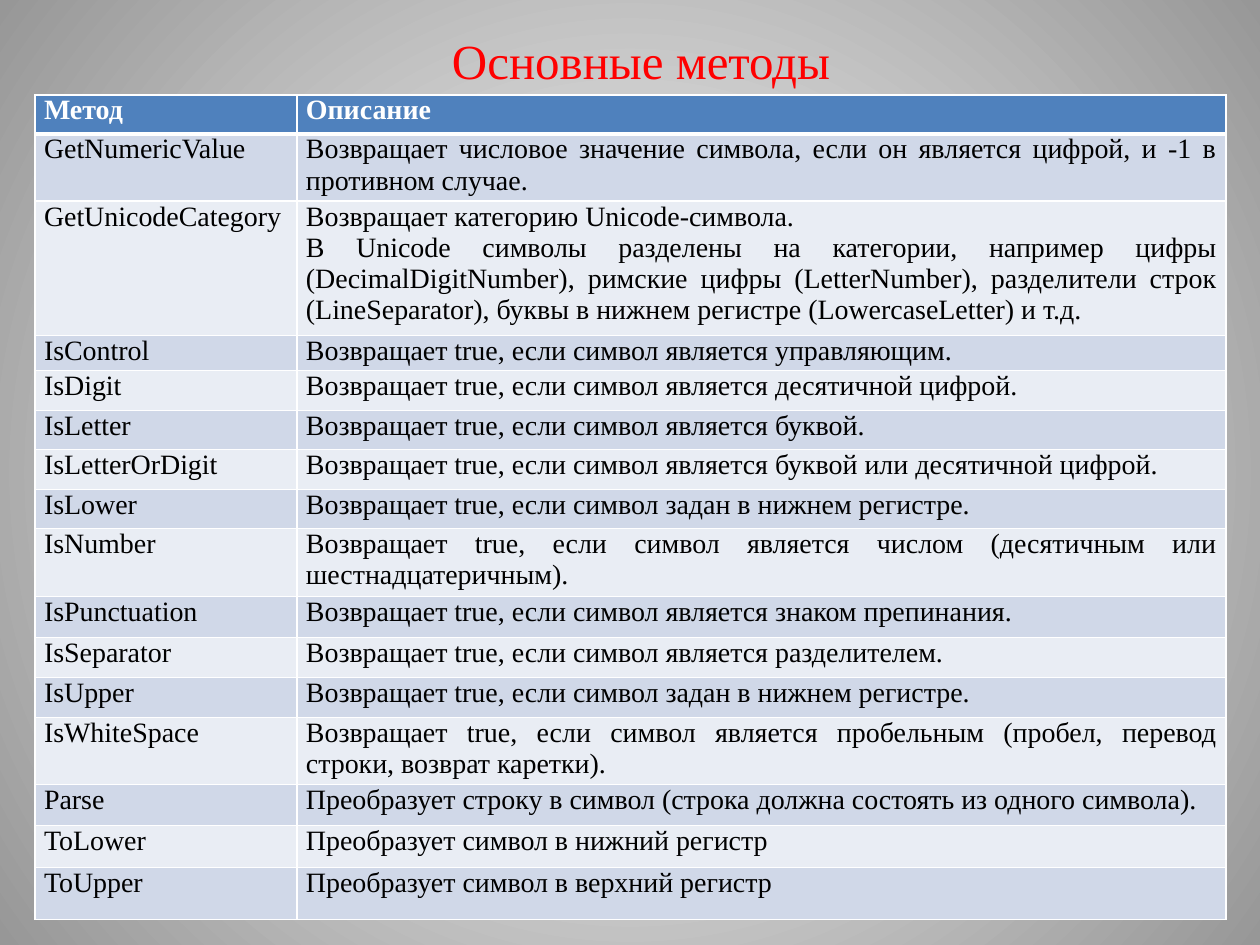
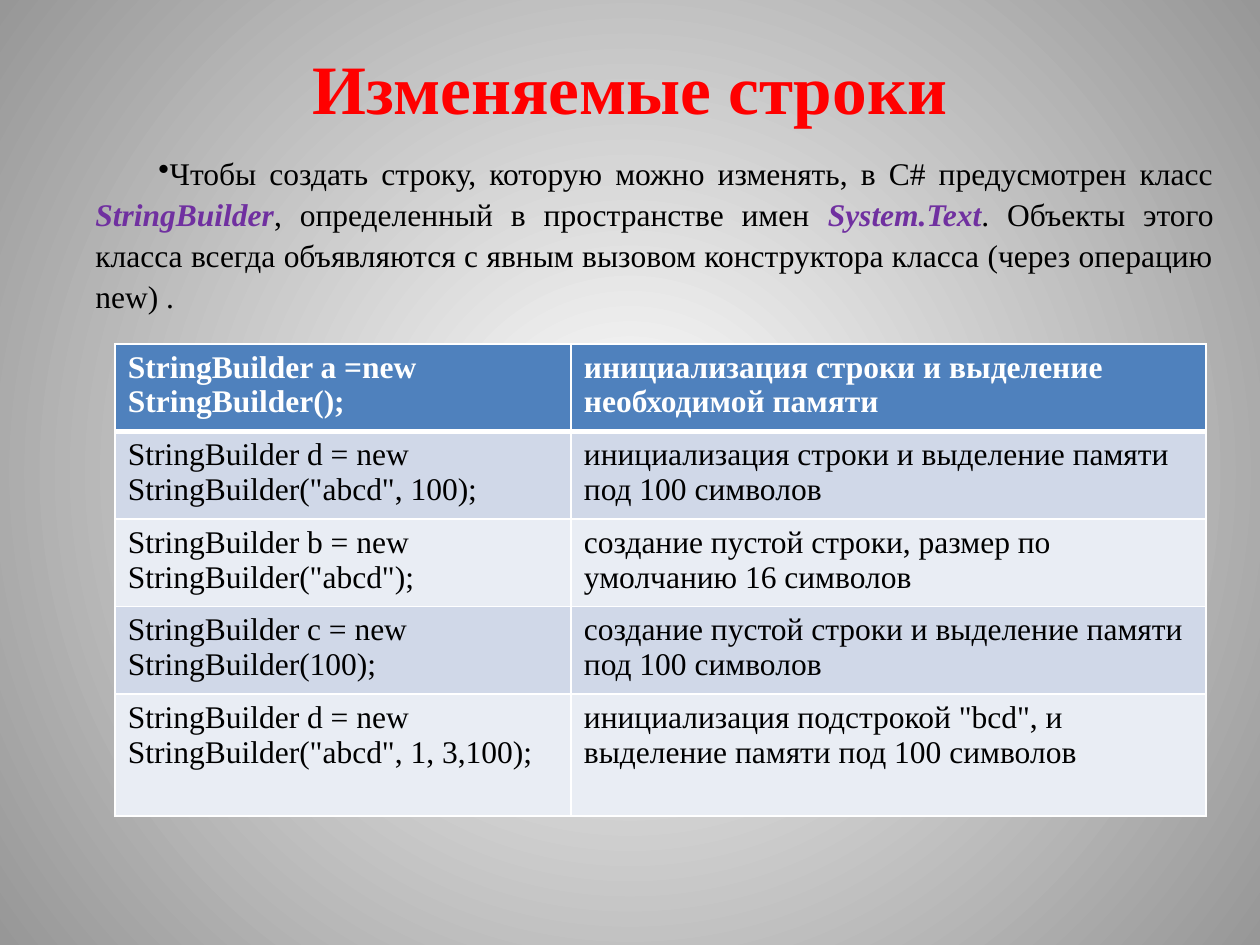
from dataclasses import dataclass

from lxml.etree import SubElement
from pptx import Presentation
from pptx.dml.color import RGBColor
from pptx.enum.text import MSO_ANCHOR as Anchor, PP_ALIGN as Align
from pptx.oxml.ns import qn
from pptx.slide import Slide
from pptx.util import Emu, Pt

PX_PER_INCH = 126
FONT = "Times New Roman"
COLORS = {
    "title": "FF0000",
    "text": "000000",
    "class_name": "7030A0",
    "header_text": "FFFFFF",
    "header": "4F81BD",
    "odd_row": "D0D8E8",
    "even_row": "E9EDF4",
    "border": "FFFFFF",
    "glow": "FFFFFF",
    "edge": "979797",
}


@dataclass(frozen=True)
class Box:
    left: int
    top: int
    width: int
    height: int


@dataclass(frozen=True)
class Title:
    text: str
    box: Box
    size: float
    bold: bool = False


@dataclass(frozen=True)
class Grid:
    left: int
    top: int
    columns: tuple[int, ...]
    heights: tuple[int, ...]
    rows: tuple[tuple[str, str], ...]
    size: int
    align: Align
    margin_x: int
    margin_y: int


METHODS_TITLE = Title("Основные методы", Box(74, 26, 1134, 68), 28)
METHODS = Grid(
    left=35, top=95, columns=(262, 929),
    heights=(39, 67, 134, 35, 40, 39, 40, 39, 68, 41, 40, 40, 67, 41, 42, 52),
    size=16, align=Align.JUSTIFY, margin_x=9, margin_y=0,
    rows=(
        ("Метод", "Описание"),
        ("GetNumericValue", "Возвращает числовое значение символа, если он является цифрой, "
                            "и -1 в противном случае."),
        ("GetUnicodeCategory", "Возвращает категорию Unicode-символа.\n"
                               "В Unicode символы разделены на категории, например цифры "
                               "(DecimalDigitNumber), римские цифры (LetterNumber), разделители "
                               "строк (LineSeparator), буквы в нижнем регистре "
                               "(LowercaseLetter) и т.д."),
        ("IsControl", "Возвращает true, если символ является управляющим."),
        ("IsDigit", "Возвращает true, если символ является десятичной цифрой."),
        ("IsLetter", "Возвращает true, если символ является буквой."),
        ("IsLetterOrDigit", "Возвращает true, если символ является буквой или "
                            "десятичной цифрой."),
        ("IsLower", "Возвращает true, если символ задан в нижнем регистре."),
        ("IsNumber", "Возвращает true, если символ является числом (десятичным или "
                     "шестнадцатеричным)."),
        ("IsPunctuation", "Возвращает true, если символ является знаком препинания."),
        ("IsSeparator", "Возвращает true, если символ является разделителем."),
        ("IsUpper", "Возвращает true, если символ задан в нижнем регистре."),
        ("IsWhiteSpace", "Возвращает true, если символ является пробельным (пробел, "
                         "перевод строки, возврат каретки)."),
        ("Parse", "Преобразует строку в символ (строка должна состоять из одного символа)."),
        ("ToLower", "Преобразует символ в нижний регистр"),
        ("ToUpper", "Преобразует символ в верхний регистр"),
    ),
)

BUILDER_TITLE = Title("Изменяемые строки", Box(63, 38, 1134, 97), 39.6, bold=True)
BUILDER_BOX = Box(35, 145, 1191, 774)
BUILDER_INTRO = (
    ("Чтобы создать строку, которую можно изменять, в С# предусмотрен класс ", False),
    ("StringBuilder", True),
    (", определенный в пространстве имен ", False),
    ("System.Text", True),
    (". Объекты этого класса всегда объявляются с явным вызовом конструктора класса "
     "(через операцию new) .", False),
)
CONSTRUCTORS = Grid(
    left=115, top=344, columns=(456, 635), heights=(82, 82, 82, 82, 122),
    size=18, align=Align.LEFT, margin_x=13, margin_y=6,
    rows=(
        ("StringBuilder a =new StringBuilder();",
         "инициализация строки и выделение необходимой памяти"),
        ('StringBuilder d = new StringBuilder("abcd", 100);',
         "инициализация строки и выделение памяти под 100 символов"),
        ('StringBuilder b = new StringBuilder("abcd");',
         "создание пустой строки, размер по умолчанию 16 символов"),
        ("StringBuilder с = new StringBuilder(100);",
         "создание пустой строки и выделение памяти под 100 символов"),
        ('StringBuilder d = new StringBuilder("abcd", 1, 3,100);',
         'инициализация подстрокой "bcd", и выделение памяти под 100 символов'),
    ),
)


def px(length: int) -> Emu:
    return Emu(round(length * 914400 / PX_PER_INCH))


def rgb(name: str) -> RGBColor:
    return RGBColor.from_string(COLORS[name])


def style_font(font, size: float, color: str, bold: bool = False) -> None:
    font.name = FONT
    font.size = Pt(size)
    font.bold = bold
    font.color.rgb = rgb(color)


def paint_background(slide: Slide) -> None:
    """Fill the slide with a circular gradient that is light in the centre."""
    fill = slide.background.fill
    fill.gradient()
    for stop, color in zip(fill.gradient_stops, ("glow", "edge")):
        stop.color.rgb = rgb(color)
    gradient = next(slide.element.iter(qn("a:gradFill")))
    gradient.remove(gradient.find(qn("a:lin")))
    circle = SubElement(gradient, qn("a:path"), {"path": "circle"})
    SubElement(circle, qn("a:fillToRect"), dict.fromkeys("ltrb", "50000"))


def add_text_frame(slide: Slide, box: Box):
    frame = slide.shapes.add_textbox(
        px(box.left), px(box.top), px(box.width), px(box.height)).text_frame
    frame.word_wrap = True
    return frame


def add_title(slide: Slide, title: Title) -> None:
    frame = add_text_frame(slide, title.box)
    frame.vertical_anchor = Anchor.MIDDLE
    heading = frame.paragraphs[0]
    heading.text = title.text
    heading.alignment = Align.CENTER
    style_font(heading.font, title.size, "title", title.bold)


def add_intro(slide: Slide) -> None:
    intro = add_text_frame(slide, BUILDER_BOX).paragraphs[0]
    intro.alignment = Align.JUSTIFY
    intro.space_before = Pt(3.6)
    intro.line_spacing = 1.08
    properties = intro._p.get_or_add_pPr()
    properties.set("marL", str(px(48)))
    properties.set("indent", str(px(63)))
    SubElement(properties, qn("a:buChar"), {"char": "•"})
    for text, is_class_name in BUILDER_INTRO:
        run = intro.add_run()
        run.text = text
        style_font(run.font, 18, "class_name" if is_class_name else "text", is_class_name)
        run.font.italic = is_class_name


def add_borders(cell, row: int) -> None:
    """Draw thin borders, with a thick line between the header and the body."""
    properties = cell._tc.get_or_add_tcPr()
    thick_side = {0: "B", 1: "T"}.get(row)
    for side in "LRTB":
        width = Pt(3 if side == thick_side else 1)
        line = SubElement(properties, qn(f"a:ln{side}"), {"w": str(width)})
        solid = SubElement(line, qn("a:solidFill"))
        SubElement(solid, qn("a:srgbClr"), {"val": COLORS["border"]})


def add_grid(slide: Slide, grid: Grid) -> None:
    table = slide.shapes.add_table(
        len(grid.rows), len(grid.columns), px(grid.left), px(grid.top),
        px(sum(grid.columns)), px(sum(grid.heights))).table
    for column, width in zip(table.columns, grid.columns):
        column.width = px(width)
    for index, (height, texts) in enumerate(zip(grid.heights, grid.rows)):
        table.rows[index].height = px(height)
        is_header = index == 0
        band = "header" if is_header else "odd_row" if index % 2 else "even_row"
        for cell, text in zip(table.rows[index].cells, texts):
            cell.text = text
            cell.margin_left = cell.margin_right = px(grid.margin_x)
            cell.margin_top = cell.margin_bottom = px(grid.margin_y)
            add_borders(cell, index)
            cell.fill.solid()
            cell.fill.fore_color.rgb = rgb(band)
            for paragraph in cell.text_frame.paragraphs:
                paragraph.alignment = grid.align
                style_font(paragraph.font, grid.size,
                           "header_text" if is_header else "text", is_header)


def add_slide(deck, title: Title) -> Slide:
    slide = deck.slides.add_slide(deck.slide_layouts[6])
    paint_background(slide)
    add_title(slide, title)
    return slide


def main() -> None:
    deck = Presentation()
    deck.slide_width, deck.slide_height = px(1260), px(945)

    add_grid(add_slide(deck, METHODS_TITLE), METHODS)

    builder_slide = add_slide(deck, BUILDER_TITLE)
    add_intro(builder_slide)
    add_grid(builder_slide, CONSTRUCTORS)

    deck.save("out.pptx")


if __name__ == "__main__":
    main()
